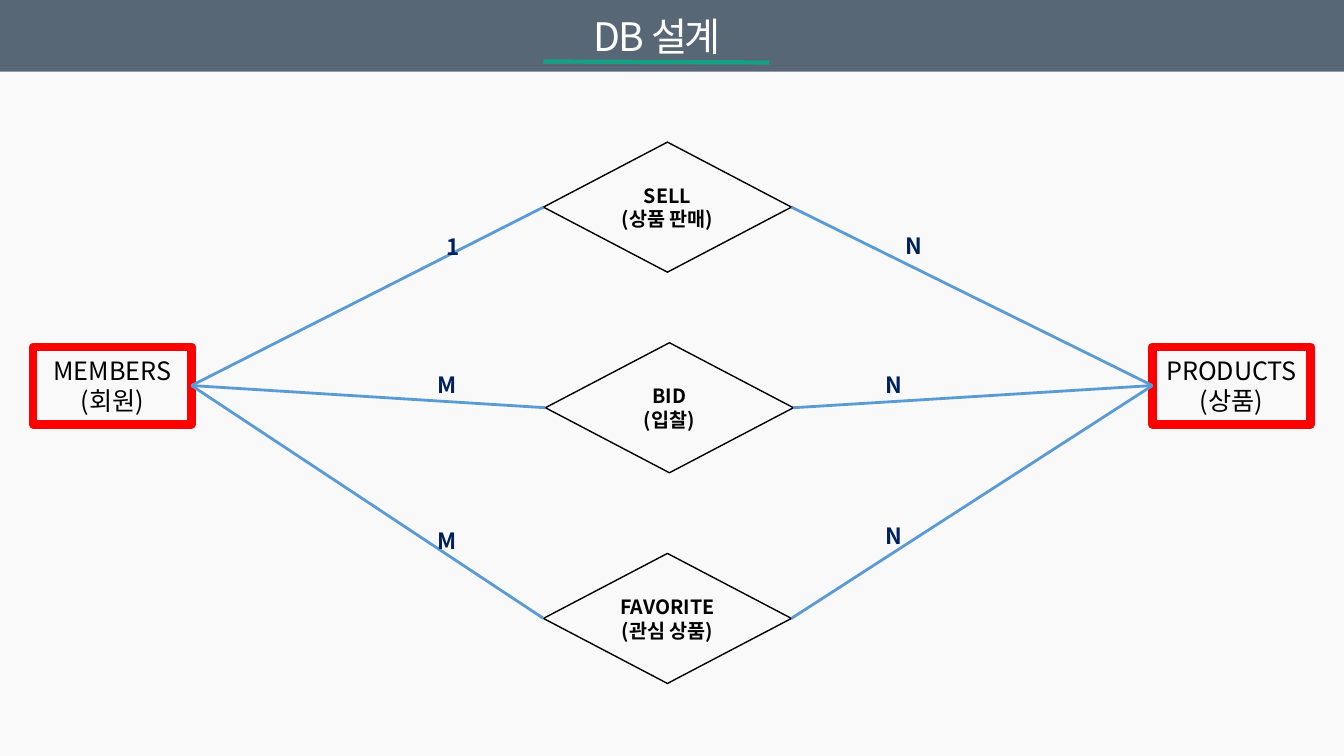
import pptx
import pptx.util
import pptx.dml.color
import pptx.enum.shapes
import pptx.enum.text
import pptx.oxml
import pptx.oxml.ns
import lxml.etree

Inches = pptx.util.Inches
Pt = pptx.util.Pt
SHAPE = pptx.enum.shapes.MSO_SHAPE
ANCHOR = pptx.enum.text.MSO_ANCHOR
ALIGN = pptx.enum.text.PP_ALIGN
AUTO_SIZE = pptx.enum.text.MSO_AUTO_SIZE
FONT = "Noto Sans CJK KR"
LEFT_SITE, RIGHT_SITE = 1, 3


def rgb(value):
    return pptx.dml.color.RGBColor.from_string(value)


def add_child(parent, tag, **attrs):
    child = lxml.etree.SubElement(parent, pptx.oxml.ns.qn(tag))
    for name, value in attrs.items():
        child.set(name, value)
    return child


def format_text(tf, size, color, bold=False, align=ALIGN.CENTER):
    for p in tf.paragraphs:
        p.alignment = align
        for r in p.runs:
            r.font.size = Pt(size)
            r.font.bold = bold
            r.font.name = FONT
            r.font.color.rgb = rgb(color)
            add_child(r.font._element, "a:ea", typeface=FONT)


def add_node(s, kind, box, text, size, line, width, bold=False):
    sp = s.shapes.add_shape(kind, *map(Inches, box))
    sp.shadow.inherit = False
    sp.fill.background()
    sp.line.color.rgb = rgb(line)
    sp.line.width = Pt(width)
    tf = sp.text_frame
    tf.text = text
    tf.word_wrap = True
    tf.vertical_anchor = ANCHOR.MIDDLE
    format_text(tf, size, "000000", bold)
    return sp


def add_line(s, start, end, color, width):
    line = s.shapes.add_connector(
        pptx.enum.shapes.MSO_CONNECTOR.STRAIGHT, *map(Inches, start + end))
    line.line.color.rgb = rgb(color)
    line.line.width = Pt(width)
    add_child(line._element.spPr, "a:effectLst")
    return line


def link(s, start, end):
    line = add_line(s, (0, 0), (0, 0), "5B9BD5", 2)
    line.begin_connect(start, RIGHT_SITE)
    line.end_connect(end, LEFT_SITE)


def add_cardinality(s, left, top, text):
    width = {"M": 0.42, "N": 0.38, "1": 0.33}[text]
    sp = s.shapes.add_textbox(*map(Inches, (left, top, width, 0.37)))
    tf = sp.text_frame
    tf.text = text
    tf.word_wrap = False
    tf.auto_size = AUTO_SIZE.SHAPE_TO_FIT_TEXT
    format_text(tf, 16, "002060", True, ALIGN.LEFT)


def add_header(s, text):
    bar = s.shapes.add_shape(SHAPE.RECTANGLE, 0, 0, Inches(13.33), Inches(0.71))
    bar.shadow.inherit = False
    bar.fill.solid()
    bar.fill.fore_color.rgb = rgb("445566")
    color = bar._element.spPr.find(".//" + pptx.oxml.ns.qn("a:srgbClr"))
    add_child(color, "a:alpha", val="89000")
    bar.line.fill.background()

    title = s.shapes.title
    bar._element.addnext(title._element)
    title.left, title.top, title.width, title.height = map(
        Inches, (4.16, 0.07, 4.72, 0.57))
    tf = title.text_frame
    tf.text = text
    tf.word_wrap = True
    tf.auto_size = AUTO_SIZE.NONE
    tf.vertical_anchor = ANCHOR.TOP
    format_text(tf, 28, "FFFFFF")
    tf.paragraphs[0].runs[0].font._element.set("spc", "-150")
    add_line(s, (5.39, 0.61), (7.63, 0.62), "16A085", 3)


def main():
    prs = pptx.Presentation()
    prs.slide_width, prs.slide_height = Inches(13.33), Inches(7.5)
    s = prs.slides.add_slide(prs.slide_layouts.get_by_name("Title Only"))
    s.background.fill.solid()
    s.background.fill.fore_color.rgb = rgb("F9F9F9")
    add_header(s, "DB 설계")

    members, products = [
        add_node(s, SHAPE.RECTANGLE, (left, 3.44, 1.57, 0.77), text, 18, "FF0000", 6)
        for left, text in ((0.33, "MEMBERS\n(회원)"), (11.43, "PRODUCTS\n(상품)"))]

    relations = (
        (5.39, 1.41, "SELL\n(상품 판매)", (4.33, 2.26, "1"), (8.88, 2.25, "N")),
        (5.41, 3.4, "BID\n(입찰)", (4.24, 3.63, "M"), (8.68, 3.63, "N")),
        (5.39, 5.49, "FAVORITE\n(관심 상품)", (4.24, 5.18, "M"), (8.68, 5.13, "N")),
    )
    for left, top, text, member_label, product_label in relations:
        relation = add_node(
            s, SHAPE.DIAMOND, (left, top, 2.46, 1.29), text, 14, "000000", 1, True)
        link(s, members, relation)
        link(s, relation, products)
        add_cardinality(s, *member_label)
        add_cardinality(s, *product_label)

    prs.save("out.pptx")


if __name__ == "__main__":
    main()
